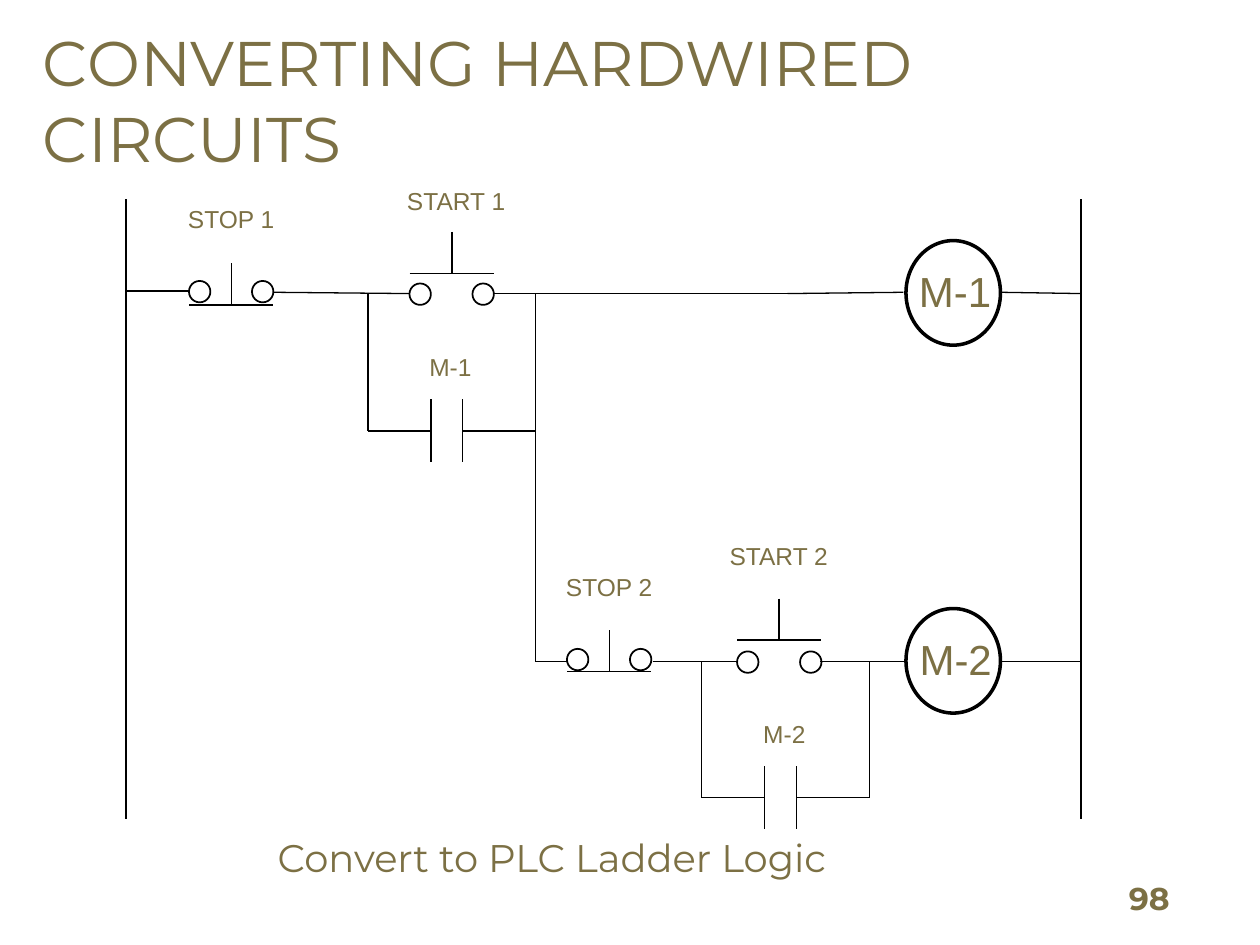
from lxml import etree
from pptx import Presentation
from pptx.dml.color import RGBColor
from pptx.enum import shapes, text
from pptx.oxml.ns import qn
from pptx.util import Inches, Pt

COLORS = {"ink": "000000", "gold": "7C7044"}
LEFT, CENTER = text.PP_ALIGN.LEFT, text.PP_ALIGN.CENTER
TOP, BOTTOM = text.MSO_ANCHOR.TOP, text.MSO_ANCHOR.BOTTOM

LABEL = {"size": 14, "name": "Arial"}
COIL_LABEL = {"size": 24, "name": "Arial"}
TITLE = {"size": 36, "name": "Montserrat"}
CAPTION = {"size": 22, "name": "Montserrat"}
NUMBER = {"size": 18, "name": "Montserrat", "bold": True}

# words, (left, top, width, height), font, alignment, anchor
TEXTS = [
    ("CONVERTING HARDWIRED CIRCUITS", (0.25, 0.15, 9.2, 1.29), TITLE, LEFT, TOP),
    ("98", (8.87, 7.01, 1.06, 0.31), NUMBER, LEFT, BOTTOM),
    ("STOP 1", (1.25, 1.58, 1.17, 0.34), LABEL, CENTER, TOP),
    ("START 1", (3.11, 1.44, 1.02, 0.34), LABEL, CENTER, TOP),
    ("M-1", (3.2, 2.75, 0.75, 0.33), LABEL, CENTER, TOP),
    ("M-1", (7.12, 2.07, 0.92, 0.51), COIL_LABEL, CENTER, TOP),
    ("STOP 2", (4.25, 4.5, 1.17, 0.34), LABEL, CENTER, TOP),
    ("START 2", (5.67, 4.25, 1.02, 0.34), LABEL, CENTER, TOP),
    ("M-2", (5.85, 5.67, 0.75, 0.33), LABEL, CENTER, TOP),
    ("M-2", (7.17, 4.99, 0.83, 0.51), COIL_LABEL, CENTER, TOP),
    ("Convert to PLC Ladder Logic", (1.38, 6.58, 6, 0.47), CAPTION, CENTER, TOP),
]

RAILS = [1, 8.58]
RAIL_TOP, RAIL_BOTTOM = 1.58, 6.5

# left, top of the terminals, height of the bar, line width
BUTTONS = [
    (1.5, 2.23, 2.42, 0.75),
    (3.25, 2.25, 2.17, 1),
    (4.5, 5.15, 5.33, 0.75),
    (5.85, 5.17, 5.08, 1),
]
TERMINAL, TERMINAL_STEP, BAR, STEM = 0.17, 0.5, 0.67, 0.33

# branch left, branch right, rung height, contact height, left plate
CONTACTS = [(2.92, 4.25, 2.33, 3.42, 3.42), (5.57, 6.9, 5.25, 6.33, 6.07)]
PLATE_GAP, PLATE_HALF = 0.25, 0.25

COIL_LEFT, COIL_WIDTH, COIL_HEIGHT = 7.19, 0.75, 0.83
COIL_TOPS = [1.91, 4.83]
COIL_RIGHT = COIL_LEFT + COIL_WIDTH

WIRES = [
    (1, 2.31, 1.5, 2.31),
    (2.17, 2.32, 3.25, 2.33),
    (3.92, 2.33, 6.42, 2.33),
    (6.25, 2.33, 7.17, 2.32),
    (COIL_RIGHT, 2.32, 8.58, 2.33),
    (4.25, 3.42, 4.25, 5.25),
    (4.25, 5.25, 4.5, 5.25),
    (5.18, 5.25, 5.85, 5.25),
    (6.51, 5.25, 7.18, 5.25),
    (COIL_RIGHT, 5.25, 8.58, 5.25),
]


def color(name):
    return RGBColor.from_string(COLORS[name])


def add_line(page, x1, y1, x2, y2, width=0.75):
    line = page.shapes.add_connector(
        shapes.MSO_CONNECTOR.STRAIGHT, *map(Inches, (x1, y1, x2, y2)))
    line.line.color.rgb = color("ink")
    line.line.width = Pt(width)
    etree.SubElement(line._element.spPr, qn("a:effectLst"))


def add_ring(page, left, top, width, height, line_width):
    ring = page.shapes.add_shape(
        shapes.MSO_SHAPE.OVAL, *map(Inches, (left, top, width, height)))
    ring.shadow.inherit = False
    ring.fill.background()
    ring.line.color.rgb = color("ink")
    ring.line.width = Pt(line_width)


def add_button(page, left, top, bar, width):
    """Two terminals, the bar that bridges them and its stem."""
    for x in (left, left + TERMINAL_STEP):
        add_ring(page, x, top, TERMINAL, TERMINAL, 1)
    middle = left + BAR / 2
    add_line(page, left, bar, left + BAR, bar, width)
    add_line(page, middle, bar - STEM, middle, bar, width)


def add_contact(page, left, right, rung, y, plate):
    """A holding contact wired in parallel below the rung."""
    for side, x in ((left, plate), (right, plate + PLATE_GAP)):
        add_line(page, side, rung, side, y)
        add_line(page, side, y, x, y)
        add_line(page, x, y - PLATE_HALF, x, y + PLATE_HALF)


def add_text(page, words, place, font, align, anchor):
    box = page.shapes.add_textbox(*map(Inches, place))
    frame = box.text_frame
    frame.word_wrap = True
    frame.vertical_anchor = anchor
    frame.margin_left = frame.margin_right = Inches(0.09)
    frame.margin_top = frame.margin_bottom = Inches(0.04)
    para = frame.paragraphs[0]
    para.alignment = align
    span = para.add_run()
    span.text = words
    span.font.color.rgb = color("gold")
    for key, value in font.items():
        setattr(span.font, key, Pt(value) if key == "size" else value)


def main():
    deck = Presentation()
    deck.slide_width, deck.slide_height = Inches(10), Inches(7.5)
    page = deck.slides.add_slide(deck.slide_layouts[6])
    for x in RAILS:
        add_line(page, x, RAIL_TOP, x, RAIL_BOTTOM)
    for wire in WIRES:
        add_line(page, *wire)
    for button in BUTTONS:
        add_button(page, *button)
    for contact in CONTACTS:
        add_contact(page, *contact)
    for top in COIL_TOPS:
        add_ring(page, COIL_LEFT, top, COIL_WIDTH, COIL_HEIGHT, 2)
    for item in TEXTS:
        add_text(page, *item)
    deck.save("out.pptx")


if __name__ == "__main__":
    main()
